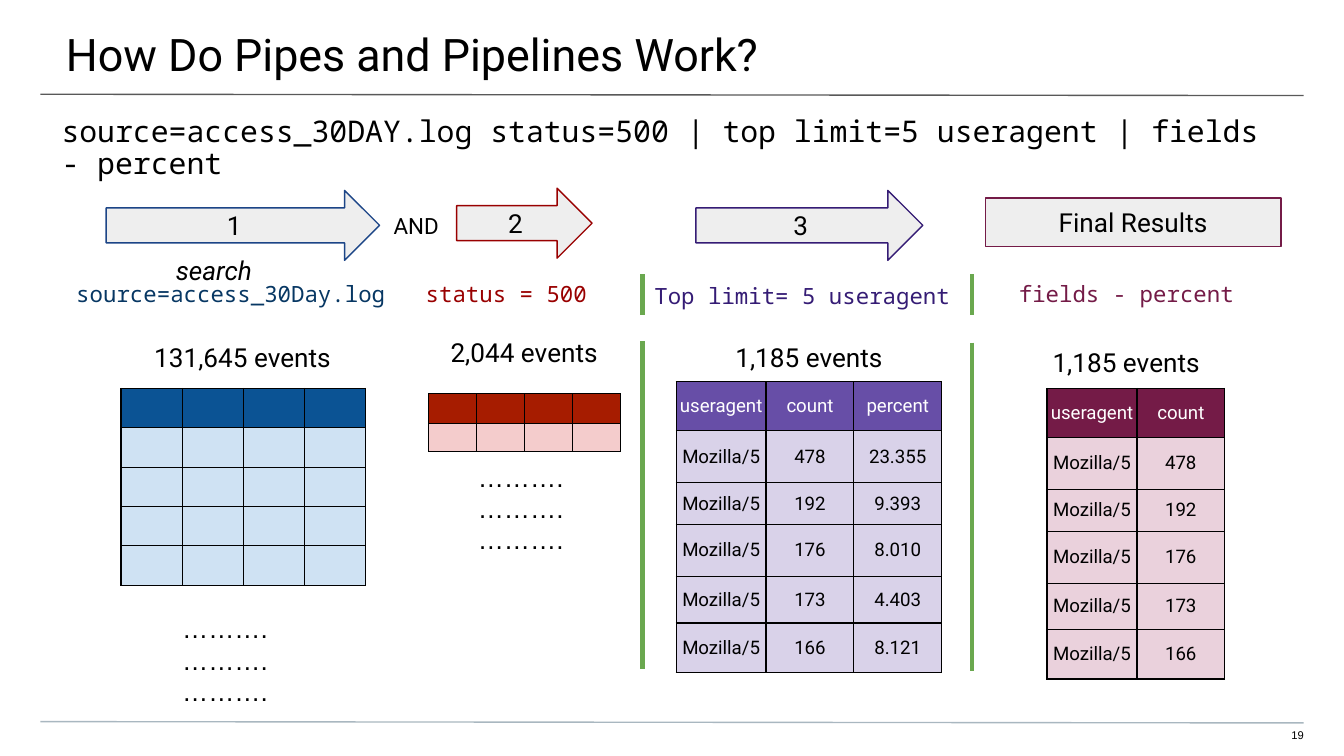
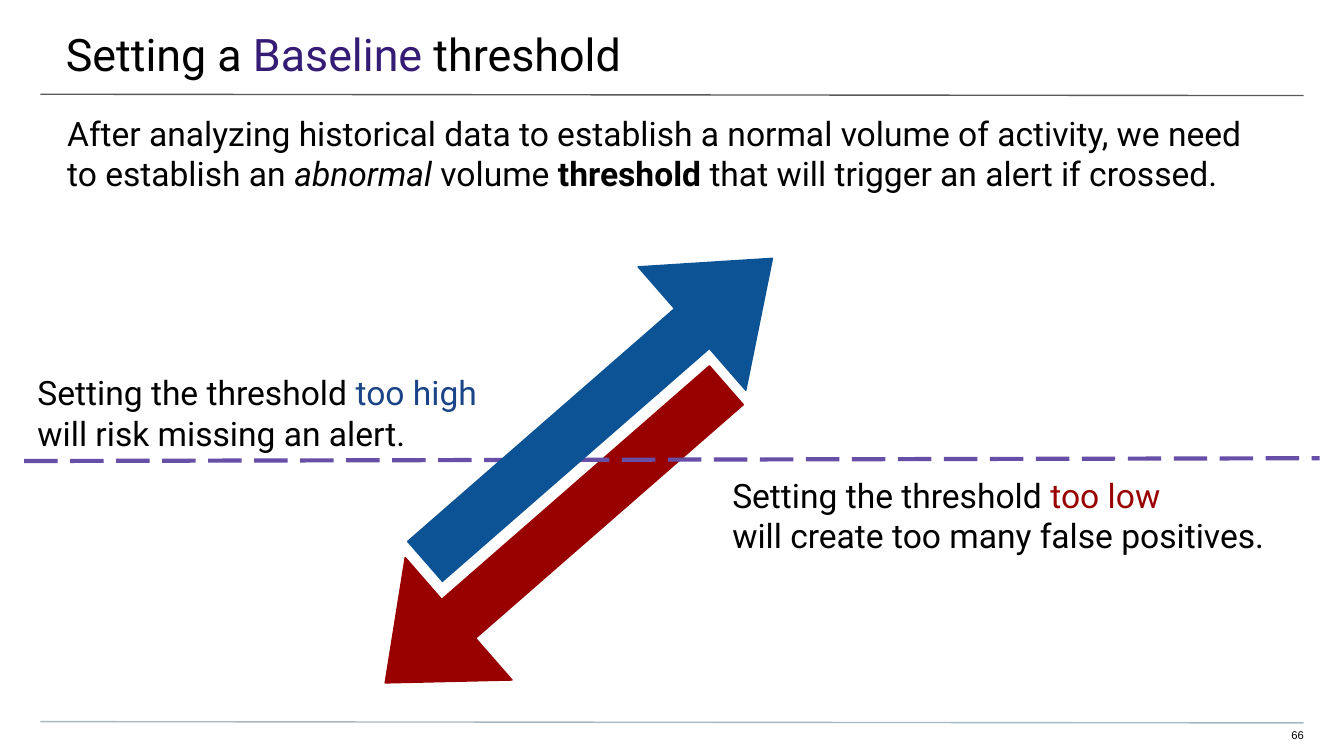
from dataclasses import dataclass

from lxml import etree
from pptx import Presentation
from pptx import util as u
from pptx.dml.color import RGBColor
from pptx.enum import dml, shapes, text
from pptx.oxml import ns


@dataclass(frozen=True)
class Theme:
    black: str = "000000"
    white: str = "FFFFFF"
    title_rule: str = "595959"
    footer_rule: str = "A9B7C0"
    panel: str = "EEEEEE"
    divider: str = "6AA84F"
    navy: str = "1C4587"
    search_blue: str = "073763"
    blue: str = "0B5394"
    pale_blue: str = "CFE2F3"
    red: str = "990000"
    brick: str = "A61C00"
    pale_red: str = "F4CCCC"
    purple: str = "351C75"
    violet: str = "674EA7"
    pale_violet: str = "D9D2E9"
    plum: str = "741B47"
    pale_plum: str = "EAD1DC"
    sans: str = "Roboto"
    mono: str = "Noto Sans Mono"
    plain: str = "Arial"
    title_size: float = 24
    body_size: float = 18
    command_size: float = 16
    label_size: float = 14
    small_size: float = 12
    cell_size: float = 10
    number_size: float = 6
    thin: float = 0.75
    thick: float = 2.25


theme = Theme()
LEFT, CENTER, RIGHT = text.PP_ALIGN.LEFT, text.PP_ALIGN.CENTER, text.PP_ALIGN.RIGHT
PADDING = (7.2, 7.2, 7.2, 7.2)
CODE_PADDING = (0, 7.2, 0, 7.2)


def add_text(slide, box, paragraphs, size, font=theme.sans, align=LEFT,
             color=theme.black, insets=PADDING, preset=None, outline=None):
    """Add a text box, or a preset shape with a panel fill.

    Each paragraph is a list of runs: (text, color or None, styles such as "bold").
    """
    box = [u.Pt(value) for value in box]
    if preset is None:
        shape = slide.shapes.add_textbox(*box)
    else:
        shape = slide.shapes.add_shape(preset, *box)
        shape.shadow.inherit = False
        shape.fill.solid()
        shape.fill.fore_color.rgb = RGBColor.from_string(theme.panel)
        shape.line.color.rgb = RGBColor.from_string(outline)
        shape.line.width = u.Pt(theme.thin)
    frame = shape.text_frame
    frame.word_wrap = True
    frame.vertical_anchor = text.MSO_ANCHOR.MIDDLE if preset else text.MSO_ANCHOR.TOP
    frame.margin_left, frame.margin_top, frame.margin_right, frame.margin_bottom = map(u.Pt, insets)
    for index, runs in enumerate(paragraphs):
        paragraph = frame.add_paragraph() if index else frame.paragraphs[0]
        paragraph.alignment = align
        for words, run_color, *styles in runs:
            run = paragraph.add_run()
            run.text = words
            run.font.name = font
            run.font.size = u.Pt(size)
            run.font.bold = "bold" in styles
            run.font.italic = "italic" in styles
            run.font.color.rgb = RGBColor.from_string(run_color or color)
    return shape


def add_line(slide, start, end, color, width):
    line = slide.shapes.add_connector(shapes.MSO_CONNECTOR.STRAIGHT,
                                      *map(u.Pt, start + end))
    line.line.color.rgb = RGBColor.from_string(color)
    line.line.width = u.Pt(width)
    etree.SubElement(line._element.spPr, ns.qn("a:effectLst"))
    return line


presentation = Presentation()
presentation.slide_width = u.Pt(720)
presentation.slide_height = u.Pt(405)

# Title, rules and page number
pages = [
    ([("How Do Pipes and Pipelines Work?", None)], "19"),
    ([("Setting a ", None), ("Baseline", theme.purple), (" threshold", None)], "66"),
]
for title, number in pages:
    slide = presentation.slides.add_slide(presentation.slide_layouts[6])
    add_line(slide, (21.6, 50.5), (698.4, 51.2), theme.title_rule, theme.thin)
    add_line(slide, (21.6, 386.6), (698.4, 387.3), theme.footer_rule, theme.thin)
    add_text(slide, (-0.7, 0, 722, 42), [title], theme.title_size,
             insets=(36, 14.4, 21.6, 7.2))
    add_text(slide, (677.5, 390.2, 20.9, 9), [[(number, None)]], theme.number_size,
             theme.plain, RIGHT, insets=(0, 0, 0, 7.2))
pipeline, threshold = presentation.slides

# Pipeline: command and its steps
command = add_text(
    pipeline, (25.9, 55.4, 672.5, 37.4),
    [[("source=access_30DAY.log status=500 | top limit=5 useragent | fields - percent", None)]],
    theme.command_size, theme.mono)
command.text_frame.paragraphs[0].line_spacing = 0.9

arrow, rectangle = shapes.MSO_SHAPE.RIGHT_ARROW, shapes.MSO_SHAPE.RECTANGLE
steps = [
    ("1", arrow, (56.9, 102, 146.5, 37.5), theme.navy),
    ("2", arrow, (244.6, 100.8, 72.6, 37.5), theme.red),
    ("3", arrow, (372.8, 102, 121.6, 37.5), theme.purple),
    ("Final Results", rectangle, (527.8, 106, 158.4, 26), theme.plum),
]
for label, preset, box, outline in steps:
    add_text(pipeline, box, [[(label, None)]], theme.label_size, align=CENTER,
             preset=preset, outline=outline)
add_text(pipeline, (203.8, 106.6, 41, 26), [[("AND", None)]], theme.small_size)
add_text(pipeline, (87.1, 128.9, 70.6, 26), [[("search", None, "italic")]], theme.label_size)

search = add_text(pipeline, (33.8, 142.6, 306.7, 26),
                  [[("source=access_30Day.log\t", theme.search_blue),
                    ("status = 500", theme.red)]],
                  theme.small_size, theme.mono, insets=(7.2, 7.2, 0, 7.2))
properties = search.text_frame.paragraphs[0]._p.get_or_add_pPr()
tabs = etree.SubElement(properties, ns.qn("a:tabLst"))
etree.SubElement(tabs, ns.qn("a:tab"), pos=str(u.Pt(187.2)), algn="l")
add_text(pipeline, (350.6, 144, 165.6, 26), [[("Top limit= 5 useragent", None)]],
         theme.small_size, theme.mono, color=theme.purple, insets=CODE_PADDING)
add_text(pipeline, (532.1, 142.6, 142.6, 26), [[("fields - percent", None)]],
         theme.small_size, theme.mono, CENTER, theme.plum, CODE_PADDING)

# Pipeline: events after each step
event_counts = [
    ("131,645 events", (72.7, 175.7, 114.5, 21.6)),
    ("2,044 events", (232.6, 172.8, 96.5, 21.6)),
    ("1,185 events", (385.2, 175.7, 96.5, 21.6)),
    ("1,185 events", (555.1, 178.6, 96.5, 21.6)),
]
for count, box in event_counts:
    add_text(pipeline, box, [[(count, None)]], theme.label_size, align=CENTER)

for left, top in [(83.5, 321.1), (241.9, 239.8)]:
    add_text(pipeline, (left, top, 74.2, 69.8), [[("……….", None)]] * 3,
             theme.label_size, theme.plain, CENTER)

for x, lower_top in [(344.2, 182.9), (520.6, 183.6)]:
    add_line(pipeline, (x, 146.9), (x, 168.5), theme.divider, theme.thick)
    add_line(pipeline, (x, lower_top), (x, lower_top + 175.7), theme.divider, theme.thick)

top_agents = [
    ["useragent", "count", "percent"],
    ["Mozilla/5", "478", "23.355"],
    ["Mozilla/5", "192", "9.393"],
    ["Mozilla/5", "176", "8.010"],
    ["Mozilla/5", "173", "4.403"],
    ["Mozilla/5", "166", "8.121"],
]
agent_counts = [row[:2] for row in top_agents]
agent_heights = [26.2, 28, 22.3, 28, 24.9, 26.4]
tables = [
    ((64.8, 208.1), [[""] * 4] * 5, [32.8] * 4, [21.1] * 5, theme.blue, theme.pale_blue),
    ((229.7, 211), [[""] * 4] * 2, [25.7] * 4, [15.8, 15.2], theme.brick, theme.pale_red),
    ((362.2, 204.5), top_agents, [48.2, 47, 47], agent_heights,
     theme.violet, theme.pale_violet),
    ((560.9, 208.1), agent_counts, [48.2, 47], agent_heights, theme.plum, theme.pale_plum),
]
for (left, top), rows, widths, heights, header_fill, body_fill in tables:
    table = pipeline.shapes.add_table(
        len(rows), len(widths), u.Pt(left), u.Pt(top),
        u.Pt(sum(widths)), u.Pt(sum(heights))).table
    for column, width in zip(table.columns, widths):
        column.width = u.Pt(width)
    for row, height in zip(table.rows, heights):
        row.height = u.Pt(height)
    for row_index, row in enumerate(rows):
        for column_index, value in enumerate(row):
            cell = table.cell(row_index, column_index)
            cell.margin_left = cell.margin_top = cell.margin_right = cell.margin_bottom = 0
            cell.vertical_anchor = text.MSO_ANCHOR.MIDDLE
            paragraph = cell.text_frame.paragraphs[0]
            paragraph.alignment = CENTER
            if value:
                paragraph.text = value
                font = paragraph.runs[0].font
                font.name = theme.sans
                font.size = u.Pt(theme.cell_size)
                font.bold = False
                font.color.rgb = RGBColor.from_string(theme.black if row_index else theme.white)
            else:
                etree.SubElement(paragraph._p, ns.qn("a:endParaRPr"),
                                 sz=str(theme.cell_size * 100))
            cell_properties = cell._tc.get_or_add_tcPr()
            for side in ("lnL", "lnR", "lnT", "lnB"):
                border = etree.SubElement(cell_properties, ns.qn("a:" + side),
                                          w=str(u.Pt(theme.thin)))
                fill = etree.SubElement(border, ns.qn("a:solidFill"))
                etree.SubElement(fill, ns.qn("a:srgbClr"), val=theme.black)
            cell.fill.solid()
            cell.fill.fore_color.rgb = RGBColor.from_string(
                body_fill if row_index else header_fill)

# Threshold: statement, two risks and the baseline between the arrows
add_text(threshold, (0, 53.3, 720, 28.8), [[
    ("After analyzing historical data to establish a normal volume of activity, "
     "we need to establish an ", None),
    ("abnormal ", None, "italic"),
    ("volume ", None),
    ("threshold", None, "bold"),
    (" that will trigger an alert if crossed.", None),
]], theme.body_size, insets=(36, 7.2, 36, 0))

risks = [
    ((13, 192.2, 280.8, 54.7), "too high", theme.navy, "will risk missing an alert."),
    ((385.2, 247, 313.2, 77.8), "too low", theme.red, "will create too many false positives."),
]
for box, level, color, outcome in risks:
    add_text(threshold, box,
             [[("Setting the threshold ", None), (level, color)], [(outcome, None)]],
             theme.body_size)

directions = [
    ((176.4, 242.6, 242.6, 87.1), 138.9, (0.317, 0.6), theme.red),
    ((197.3, 175.7, 247, 87.8), 318.9, (0.323, 0.652), theme.blue),
]
for box, rotation, (shaft, head), color in directions:
    direction = threshold.shapes.add_shape(arrow, *map(u.Pt, box))
    direction.shadow.inherit = False
    direction.rotation = rotation
    direction.adjustments[0] = shaft
    direction.adjustments[1] = head
    direction.fill.solid()
    direction.fill.fore_color.rgb = RGBColor.from_string(color)
    direction.line.color.rgb = RGBColor.from_string(color)
    direction.line.width = u.Pt(theme.thin)
    if color == theme.red:
        baseline = add_line(threshold, (13, 247), (707, 245.5), theme.violet, theme.thick)
        baseline.line.dash_style = dml.MSO_LINE.LONG_DASH

presentation.save("out.pptx")
